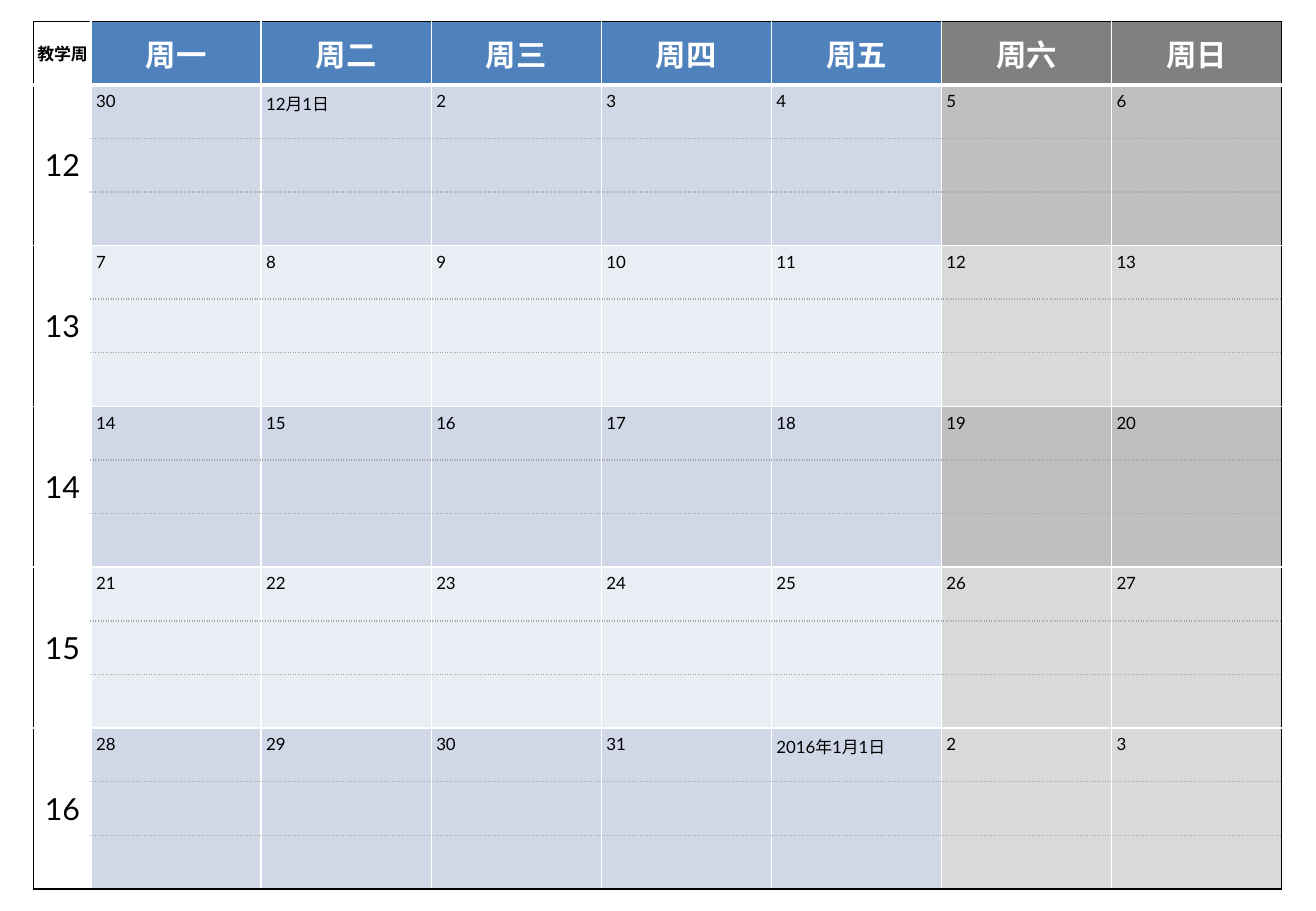
from typing import NamedTuple, Optional

from lxml.etree import SubElement
from pptx import Presentation
from pptx.dml.color import RGBColor
from pptx.enum.text import MSO_ANCHOR as ANCHOR, PP_ALIGN as ALIGN
from pptx.oxml.ns import qn
from pptx.util import Pt


class Line(NamedTuple):
    color: str
    width: float = 1
    dash: str = "solid"


class Style(NamedTuple):
    size: float
    color: str = "000000"
    bold: bool = False
    centered: bool = True


class Borders(NamedTuple):
    left: Optional[Line]
    right: Optional[Line]
    top: Line
    bottom: Line


FONT = "Lato"
WHITE, BLACK = Line("FFFFFF"), Line("000000")
THICK, DOTTED = Line("FFFFFF", 3), Line("A6A6A6", 1, "sysDot")
CORNER, HEADER = Style(10, bold=True), Style(18, "FFFFFF", True)
WEEK, DATE = Style(18), Style(10, centered=False)

WEEKDAYS = ["周一", "周二", "周三", "周四", "周五", "周六", "周日"]
DAYS = [30, "12月1日", *range(2, 32), "2016年1月1日", 2, 3]
FIRST_WEEK, WEEKS, ROWS_PER_WEEK = 12, 5, 3
ROWS, COLS = 1 + WEEKS * ROWS_PER_WEEK, 1 + len(WEEKDAYS)
LAST_ROW, LAST_COL, SATURDAY = ROWS - 1, COLS - 1, 6

LEFT, TOP = 20, 12.75
WEEK_W, DAY_W = 34, 100.8
HEADER_H, ROW_H = 37.5, 31.8


def rgb(color: str) -> RGBColor:
    return RGBColor.from_string(color)


def set_borders(cell, borders: Borders) -> None:
    tc_pr = cell._tc.get_or_add_tcPr()
    position = 0
    for side, line in zip("LRTB", borders):
        if line is None:
            continue
        ln = SubElement(tc_pr, qn(f"a:ln{side}"), w=str(Pt(line.width)))
        fill = SubElement(ln, qn("a:solidFill"))
        SubElement(fill, qn("a:srgbClr"), val=line.color)
        SubElement(ln, qn("a:prstDash"), val=line.dash)
        tc_pr.insert(position, ln)
        position += 1


def set_cell(cell, text: str, fill: str, style: Style, borders: Borders) -> None:
    cell.fill.solid()
    cell.fill.fore_color.rgb = rgb(fill)
    cell.margin_left = cell.margin_right = Pt(0 if style.centered else 3)
    cell.margin_top = cell.margin_bottom = Pt(0 if style.centered else 3.6)
    cell.vertical_anchor = ANCHOR.MIDDLE if style.centered else ANCHOR.TOP
    p = cell.text_frame.paragraphs[0]
    p.text = text
    p.alignment = ALIGN.CENTER if style.centered else ALIGN.LEFT
    p.font.name, p.font.size, p.font.bold = FONT, Pt(style.size), style.bold
    p.font.color.rgb = rgb(style.color)
    set_borders(cell, borders)


def day_fill(week: int, col: int) -> str:
    if col >= SATURDAY:
        return "BFBFBF" if week % 2 == 0 and week < WEEKS - 1 else "D9D9D9"
    return "D0D8E8" if week % 2 == 0 else "E9EDF4"


def side_lines(col: int) -> tuple[Optional[Line], Optional[Line]]:
    if col == 0:
        return BLACK, None
    return None if col == 1 else WHITE, BLACK if col == LAST_COL else WHITE


prs = Presentation()
prs.slide_width, prs.slide_height = Pt(780), Pt(540)
s = prs.slides.add_slide(prs.slide_layouts[6])

# Calendar grid
table = s.shapes.add_table(
    ROWS, COLS, Pt(LEFT), Pt(TOP),
    Pt(WEEK_W + DAY_W * len(WEEKDAYS)), Pt(HEADER_H + ROW_H * (ROWS - 1)),
).table
table.first_row = table.horz_banding = False
for col, column in enumerate(table.columns):
    column.width = Pt(DAY_W if col else WEEK_W)
for row, table_row in enumerate(table.rows):
    table_row.height = Pt(ROW_H if row else HEADER_H)

# Header row
for col, label in enumerate(["教学周", *WEEKDAYS]):
    fill = "FFFFFF" if col == 0 else "808080" if col >= SATURDAY else "4F81BD"
    set_cell(table.cell(0, col), label, fill, HEADER if col else CORNER,
             Borders(*side_lines(col), BLACK, THICK))

# Weeks: a merged number cell, then a date row and two writing rows per day
for week in range(WEEKS):
    first = 1 + week * ROWS_PER_WEEK
    last = first + ROWS_PER_WEEK - 1
    week_end = BLACK if last == LAST_ROW else WHITE
    number = table.cell(first, 0)
    number.merge(table.cell(last, 0))
    for row in range(first, last + 1):
        set_cell(table.cell(row, 0), str(FIRST_WEEK + week) if row == first else "",
                 "FFFFFF", WEEK, Borders(*side_lines(0), WHITE, week_end))
        for col in range(1, COLS):
            day = DAYS[week * len(WEEKDAYS) + col - 1]
            set_cell(table.cell(row, col), str(day) if row == first else "",
                     day_fill(week, col), DATE,
                     Borders(*side_lines(col),
                             WHITE if row == first else DOTTED,
                             week_end if row == last else DOTTED))

prs.save("out.pptx")
